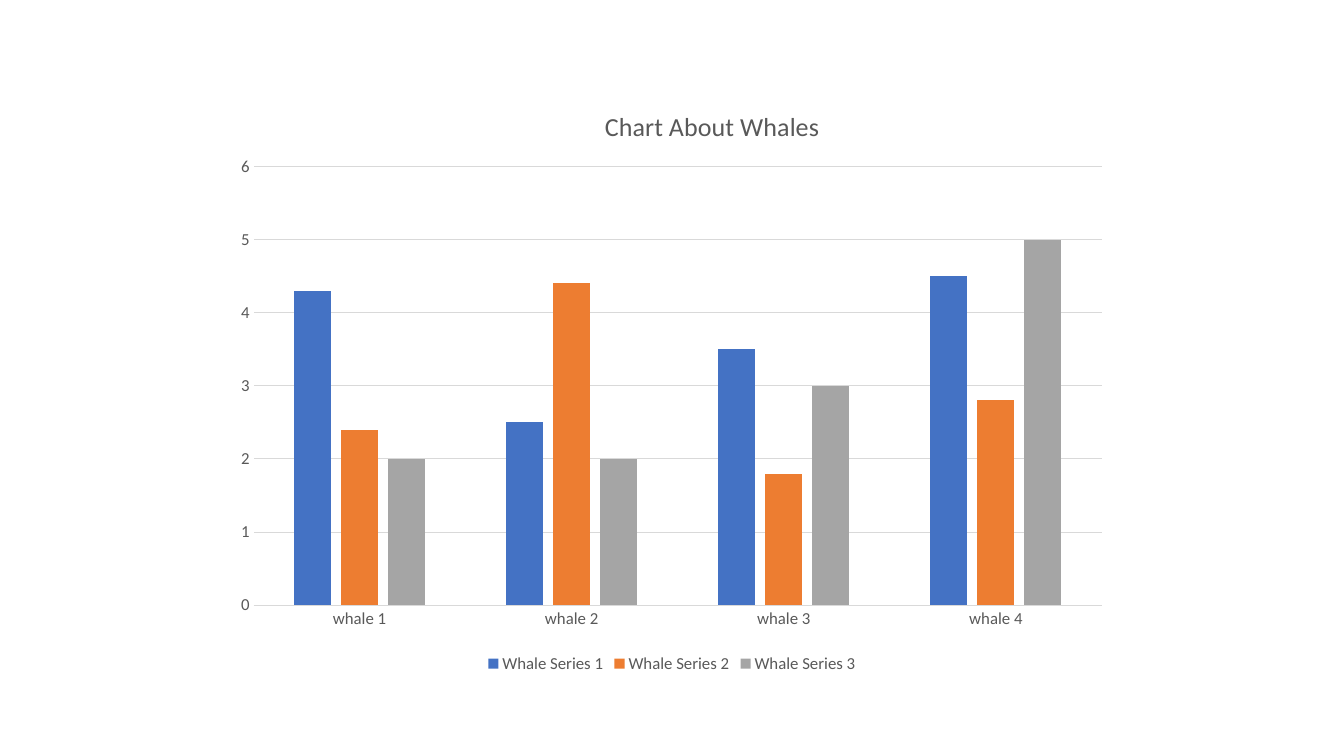
from lxml import etree
from pptx import Presentation
from pptx.chart.data import CategoryChartData
from pptx.dml.color import RGBColor
from pptx.enum.chart import XL_CHART_TYPE, XL_LEGEND_POSITION, XL_TICK_MARK
from pptx.oxml.ns import qn
from pptx.util import Pt

COLUMNS = XL_CHART_TYPE.COLUMN_CLUSTERED
BOTTOM = XL_LEGEND_POSITION.BOTTOM
NO_TICK = XL_TICK_MARK.NONE

FONT = "Calibri"
COLORS = {
    "text": "595959",
    "rule": "D9D9D9",
    "Whale Series 1": "4472C4",
    "Whale Series 2": "ED7D31",
    "Whale Series 3": "A5A5A5",
}
WHALES = ["whale 1", "whale 2", "whale 3", "whale 4"]
WHALE_SERIES = {
    "Whale Series 1": (4.3, 2.5, 3.5, 4.5),
    "Whale Series 2": (2.4, 4.4, 1.8, 2.8),
    "Whale Series 3": (2, 2, 3, 5),
}


def color(name):
    return RGBColor.from_string(COLORS[name])


def style_font(font, size):
    font.name = FONT
    font.size = Pt(size)
    font.bold = False
    font.color.rgb = color("text")


def style_rule(line):
    line.color.rgb = color("rule")
    line.width = Pt(0.75)


def place(element, index, **fractions):
    for old_layout in element.findall(qn("c:layout")):
        element.remove(old_layout)
    layout = etree.Element(qn("c:layout"))
    element.insert(index, layout)
    manual = etree.SubElement(layout, qn("c:manualLayout"))
    if "w" in fractions:
        etree.SubElement(manual, qn("c:layoutTarget"), val="inner")
    for side in ("xMode", "yMode"):
        etree.SubElement(manual, qn(f"c:{side}"), val="edge")
    for side, fraction in fractions.items():
        etree.SubElement(manual, qn(f"c:{side}"), val=str(fraction))


def add_title(chart, text):
    chart.has_title = True
    title = chart.chart_title
    title.include_in_layout = False
    run = title.text_frame.paragraphs[0].add_run()
    run.text = text
    style_font(run.font, 18.6)
    place(title._element, 1, x=0.42, y=0.04)


def style_axes(chart):
    categories, values = chart.category_axis, chart.value_axis
    for axis in (categories, values):
        axis.major_tick_mark = NO_TICK
        axis.minor_tick_mark = NO_TICK
        style_font(axis.tick_labels.font, 12)
    style_rule(categories.format.line)
    values.format.line.fill.background()
    values.minimum_scale = 0
    values.maximum_scale = 6
    values.major_unit = 1
    values.has_major_gridlines = True
    style_rule(values.major_gridlines.format.line)


def style_columns(plot):
    plot.gap_width = 219
    plot.overlap = -27
    plot.vary_by_categories = False
    for series in plot.series:
        series.format.fill.solid()
        series.format.fill.fore_color.rgb = color(series.name)


def add_legend(chart):
    chart.has_legend = True
    chart.legend.position = BOTTOM
    chart.legend.include_in_layout = False
    style_font(chart.legend.font, 12)


def add_whale_chart(slide):
    whale_data = CategoryChartData()
    whale_data.categories = WHALES
    for name, values in WHALE_SERIES.items():
        whale_data.add_series(name, values)
    chart = slide.shapes.add_chart(
        COLUMNS, Pt(160), Pt(57), Pt(640), Pt(427), whale_data
    ).chart
    style_font(chart.font, 12)
    add_title(chart, "Chart About Whales")
    style_axes(chart)
    style_columns(chart.plots[0])
    add_legend(chart)
    plot_area = chart._chartSpace.find(f".//{qn('c:plotArea')}")
    place(plot_area, 0, x=0.033, y=0.145, w=0.947, h=0.734)


def main():
    deck = Presentation()
    deck.slide_width, deck.slide_height = Pt(960), Pt(540)
    slide = deck.slides.add_slide(deck.slide_layouts[6])
    add_whale_chart(slide)
    deck.save("out.pptx")


main()
